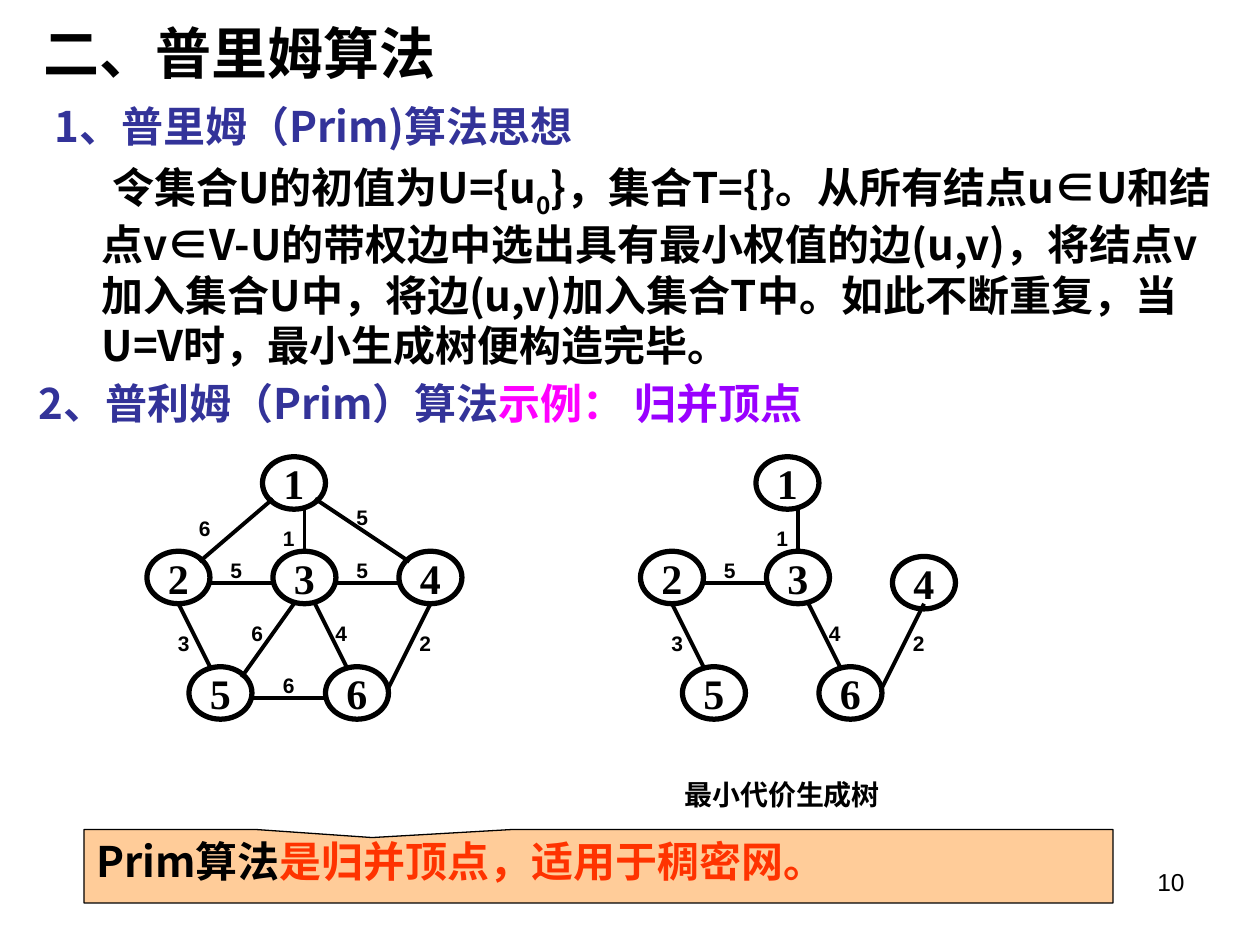
"""Build the slide on Prim's algorithm with a weighted graph and its minimum spanning tree."""
from lxml import etree
from pptx import Presentation
from pptx.dml.color import RGBColor
from pptx.enum.shapes import MSO_CONNECTOR, MSO_SHAPE
from pptx.enum.text import MSO_ANCHOR, PP_ALIGN
from pptx.oxml.ns import qn
from pptx.util import Pt

LEFT, CENTER, RIGHT = PP_ALIGN.LEFT, PP_ALIGN.CENTER, PP_ALIGN.RIGHT
TOP, MIDDLE = MSO_ANCHOR.TOP, MSO_ANCHOR.MIDDLE
OVAL, CALLOUT = MSO_SHAPE.OVAL, MSO_SHAPE.RECTANGULAR_CALLOUT
STRAIGHT = MSO_CONNECTOR.STRAIGHT
PX = 7620
SANS, CJK, SERIF = "Arial", "Noto Sans CJK SC", "Times New Roman"
BLACK, BLUE, MAGENTA, PURPLE, RED = "000000", "333399", "FF00FF", "9900FF", "FF3300"

presentation = Presentation()
presentation.slide_width = 1200 * PX
presentation.slide_height = 900 * PX
slide = presentation.slides.add_slide(presentation.slide_layouts[6])


def color(value):
    return RGBColor.from_string(value)


def write(text, box=None, shape=None, size=24, font=CJK, bold=True, align=LEFT,
          anchor=TOP, wrap=True, paragraph=None):
    """Write a string or (text, colour, baseline) runs into a shape or a new text box."""
    if shape is None:
        shape = slide.shapes.add_textbox(*[value * PX for value in box])
    frame = shape.text_frame
    frame.word_wrap = wrap
    frame.vertical_anchor = anchor
    paragraph = paragraph or frame.paragraphs[0]
    paragraph.alignment = align
    runs = [(text, BLACK, 0)] if isinstance(text, str) else text
    for words, run_color, baseline in runs:
        run = paragraph.add_run()
        run.text = words
        run.font.size = Pt(size)
        run.font.name = font
        run.font.bold = bold
        run.font.color.rgb = color(run_color)
        if baseline:
            run.font._element.set("baseline", str(baseline))
    return shape


write("10", box=(860, 820, 280, 62), size=14, font=SANS, bold=False, align=RIGHT)
write("二、普里姆算法", box=(30, 20, 1020, 60), size=32, font=SANS, anchor=MIDDLE)

body = write([("1、普里姆（Prim)算法思想", BLUE, 0)], box=(40, 90, 1130, 780))
idea = body.text_frame.add_paragraph()
idea.space_before = Pt(6)
idea_properties = idea._element.get_or_add_pPr()
idea_properties.set("marL", str(45 * PX))
idea_properties.set("indent", str(10 * PX))
write([
    ("令集合U的初值为U={u", BLACK, 0),
    ("0", BLACK, -25000),
    ("}，集合T={}。从所有结点u∈U和结点v∈V-U的带权边中选出具有最小权值的边(u,v)，"
     "将结点v加入集合U中，将边(u,v)加入集合T中。如此不断重复，当U=V时，"
     "最小生成树便构造完毕。", BLACK, 0),
], shape=body, paragraph=idea)

write([("2、普利姆（Prim）算法", BLUE, 0), ("示例： ", MAGENTA, 0), ("归并顶点", PURPLE, 0)],
      box=(25, 354, 779, 60))

nodes = {"1": (250, 435), "2": (140, 525), "3": (260, 525),
         "4": (380, 525), "5": (180, 635), "6": (310, 635)}
tree_nodes = {**nodes, "4": (380, 530)}
tree_edges = [
    ("5", (200, 555, 260, 555), (200, 525)),
    ("1", (290, 485, 290, 525), (250, 495)),
    ("3", (170, 575, 200, 635), (150, 595)),
    ("4", (300, 575, 330, 635), (300, 585)),
    ("2", (370, 655, 410, 575), (380, 595)),
]
other_edges = [
    ("5", (320, 555, 380, 555), (320, 525)),
    ("6", (230, 645, 280, 575), (220, 585)),
    ("6", (240, 665, 310, 665), (250, 635)),
    ("6", (190, 535, 260, 475), (170, 485)),
    ("5", (390, 535, 300, 475), (320, 475)),
]

for offset, graph_nodes, edges in [(0, nodes, tree_edges + other_edges),
                                   (470, tree_nodes, tree_edges)]:
    for name, (left, top) in graph_nodes.items():
        node = slide.shapes.add_shape(OVAL, (left + offset) * PX, top * PX, 60 * PX, 50 * PX)
        node.shadow.inherit = False
        node.fill.solid()
        node.fill.fore_color.rgb = color("FFFFFF")
        node.line.color.rgb = color(BLACK)
        node.line.width = Pt(3)
        write(name, shape=node, font=SERIF, align=CENTER, anchor=MIDDLE, wrap=False)
    for weight, (x1, y1, x2, y2), (left, top) in edges:
        edge = slide.shapes.add_connector(STRAIGHT, (x1 + offset) * PX, y1 * PX,
                                          (x2 + offset) * PX, y2 * PX)
        edge.line.color.rgb = color(BLACK)
        edge.line.width = Pt(2.25)
        etree.SubElement(edge._element.spPr, qn("a:effectLst"))
        write(weight, box=(left + offset, top, 50, 36), size=12, font=SANS, align=CENTER)

write("最小代价生成树", box=(630, 735, 230, 44), size=16, font=SANS, align=CENTER)

summary = slide.shapes.add_shape(CALLOUT, 80 * PX, 790 * PX, 980 * PX, 70 * PX)
summary.shadow.inherit = False
summary.adjustments[0] = -0.22
summary.adjustments[1] = -0.39
summary.fill.solid()
summary.fill.fore_color.rgb = color("FFCC99")
summary.line.color.rgb = color(BLACK)
summary.line.width = Pt(0.75)
write([("Prim算法", BLACK, 0), ("是归并顶点，适用于稠密网。", RED, 0)], shape=summary)

presentation.save("out.pptx")
